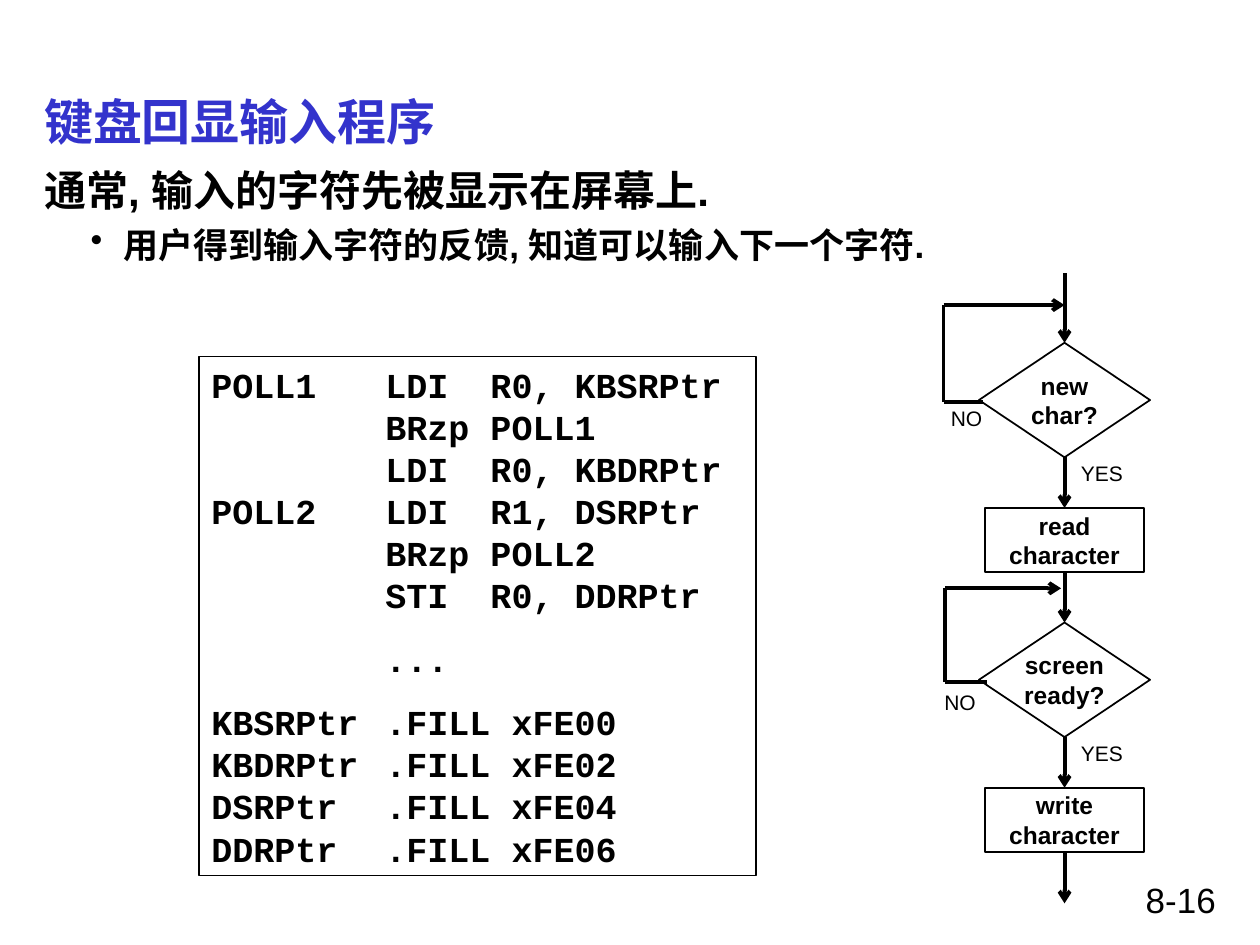
import pptx
import pptx.util
import pptx.dml.color
import pptx.enum.shapes
import pptx.enum.text
import pptx.oxml
import pptx.oxml.ns
from dataclasses import dataclass

Cm = pptx.util.Cm
Pt = pptx.util.Pt
Shape = pptx.enum.shapes.MSO_SHAPE
Link = pptx.enum.shapes.MSO_CONNECTOR
Align = pptx.enum.text.PP_ALIGN
Anchor = pptx.enum.text.MSO_ANCHOR
qn = pptx.oxml.ns.qn


def color(code):
    return pptx.dml.color.RGBColor.from_string(code)


@dataclass(frozen=True)
class Theme:
    ink: str = "000000"
    blue: str = "3333CC"
    sans: str = "Arial"
    mono: str = "Courier New"
    title: int = 28
    lead: int = 24
    body: int = 20
    node: int = 14
    label: int = 12
    thin: float = 0.75
    edge: float = 1
    flow: float = 2.25


class Deck:
    def __init__(self, theme, slide):
        self.theme = theme
        self.slide = slide
        self.shapes = slide.shapes

    def style(self, item, values):
        for name, value in values.items():
            setattr(item, name, value)

    def place(self, item, box):
        names = ("left", "top", "width", "height")
        self.style(item, dict(zip(names, map(Cm, box))))

    def letter(self, item, lines, size, bold=False, font=None, tint=None,
               frame=None, para=None):
        text = item.text_frame
        base = dict(word_wrap=True, vertical_anchor=Anchor.TOP,
                    margin_left=Cm(0.25), margin_right=Cm(0.25),
                    margin_top=Cm(0.13), margin_bottom=Cm(0.13))
        self.style(text, base | (frame or {}))
        text.text = "\n".join(lines)
        for row in text.paragraphs:
            self.style(row, dict(alignment=Align.LEFT) | (para or {}))
            for run in row.runs:
                self.style(run.font, dict(name=font or self.theme.sans,
                                          size=Pt(size), bold=bold))
                run.font.color.rgb = color(tint or self.theme.ink)
        return text

    def title(self, line, box):
        item = self.shapes.title
        self.place(item, box)
        self.letter(item, [line], self.theme.title, True,
                    tint=self.theme.blue,
                    frame=dict(vertical_anchor=Anchor.MIDDLE))

    def text(self, lines, box, size, **values):
        item = self.shapes.add_textbox(*map(Cm, box))
        return self.letter(item, lines, size, **values)

    def bullet(self, row, indent, hang):
        props = row._p.get_or_add_pPr()
        props.set("marL", str(Cm(indent)))
        props.set("indent", str(-Cm(hang)))
        mark = props.makeelement(qn("a:buChar"), {"char": "•"})
        props.append(mark)

    def tab(self, row, stop):
        props = row._p.get_or_add_pPr()
        tabs = props.makeelement(qn("a:tabLst"), {})
        tabs.append(tabs.makeelement(
            qn("a:tab"), {"pos": str(Cm(stop)), "algn": "l"}))
        props.append(tabs)

    def shape(self, kind, box, width):
        item = self.shapes.add_shape(kind, *map(Cm, box))
        item.shadow.inherit = False
        item.fill.background()
        item.line.color.rgb = color(self.theme.ink)
        item.line.width = Pt(width)
        return item

    def node(self, kind, lines, mid, top, width, height):
        box = (mid - width / 2, top, width, height)
        item = self.shape(kind, box, self.theme.edge)
        self.letter(item, lines, self.theme.node, True,
                    frame=dict(word_wrap=False,
                               vertical_anchor=Anchor.MIDDLE),
                    para=dict(alignment=Align.CENTER))
        return item

    def code(self, blocks, box, stop):
        item = self.shape(Shape.RECTANGLE, box, self.theme.thin)
        text = self.letter(item, blocks, self.theme.body, True,
                           self.theme.mono,
                           para=dict(space_before=Pt(12.5)))
        for row in text.paragraphs:
            self.tab(row, stop)

    def line(self, start, end, head=True, source=None, target=None):
        item = self.shapes.add_connector(
            Link.STRAIGHT, *map(Cm, start + end))
        if source is not None:
            item.begin_connect(source, 2)
        if target is not None:
            item.end_connect(target, 0)
        item.line.color.rgb = color(self.theme.ink)
        item.line.width = Pt(self.theme.flow)
        if head:
            stroke = item.line._get_or_add_ln()
            stroke.append(stroke.makeelement(
                qn("a:tailEnd"), {"type": "arrow"}))
        props = item._element.spPr
        props.append(props.makeelement(qn("a:effectLst"), {}))

    def loop(self, points):
        last = len(points) - 2
        for at, (start, end) in enumerate(zip(points, points[1:])):
            self.line(start, end, head=at == last)


def main():
    show = pptx.Presentation()
    show.slide_width, show.slide_height = Cm(25.4), Cm(19.05)
    theme = Theme()
    deck = Deck(theme, show.slides.add_slide(show.slide_layouts[5]))

    deck.title("键盘回显输入程序", (0.64, 1.7, 24.13, 1.48))
    body = deck.text(["通常, 输入的字符先被显示在屏幕上.",
                      "用户得到输入字符的反馈, 知道可以输入下一个字符."],
                     (0.64, 3.18, 24.13, 3.07), theme.lead, bold=True)
    lead, point = body.paragraphs
    lead.space_before, point.space_before = Pt(6), Pt(5)
    point.runs[0].font.size = Pt(theme.body)
    deck.bullet(point, 1.6, 0.66)

    mid = 21.46
    center = dict(alignment=Align.CENTER)
    stages = [
        (6.91, ["new", "char?"], "read\vcharacter",
         19.02, 6.15, mid, 19.81, (18.85, 8.05, 1.27)),
        (12.55, ["screen", "ready?"], "write\vcharacter",
         19.05, 11.86, 21.39, 19.89, (18.62, 13.77, 1.47)),
    ]
    prior = None
    for top, ask, act, left, turn, tip, root, (x, y, wide) in stages:
        test = deck.node(Shape.DIAMOND, ask, mid, top, 3.45, 2.31)
        step = deck.node(Shape.RECTANGLE, [act], mid, top + 3.33, 3.2, 1.29)
        start = 5.51 if prior is None else top - 1.02
        deck.line((mid, start), (mid, top), source=prior, target=test)
        deck.line((mid, top + 2.31), (mid, top + 3.33),
                  source=test, target=step)
        side = top + 1.19
        deck.loop([(root, side), (left, side), (left, turn), (tip, turn)])
        deck.text(["YES"], (21.54, top + 2.25, 1.35, 0.76), theme.label,
                  frame=dict(word_wrap=False), para=center)
        deck.text(["NO"], (x, y, wide, 0.76), theme.label, para=center)
        prior = step
    deck.line((mid, 17.17), (mid, 18.21), source=prior)

    deck.code([
        "POLL1\tLDI  R0, KBSRPtr\v\tBRzp POLL1\v\tLDI  R0, KBDRPtr\v"
        "POLL2\tLDI  R1, DSRPtr\v\tBRzp POLL2\v\tSTI  R0, DDRPtr",
        "\t...",
        "KBSRPtr\t.FILL xFE00\vKBDRPtr\t.FILL xFE02\v"
        "DSRPtr\t.FILL xFE04\vDDRPtr\t.FILL xFE06",
    ], (4.01, 7.19, 11.23, 10.46), 3.51)
    deck.text(["8-16"], (18.21, 17.58, 6.55, 1.07), theme.body,
              para=dict(alignment=Align.RIGHT))
    show.save("out.pptx")


if __name__ == "__main__":
    main()
